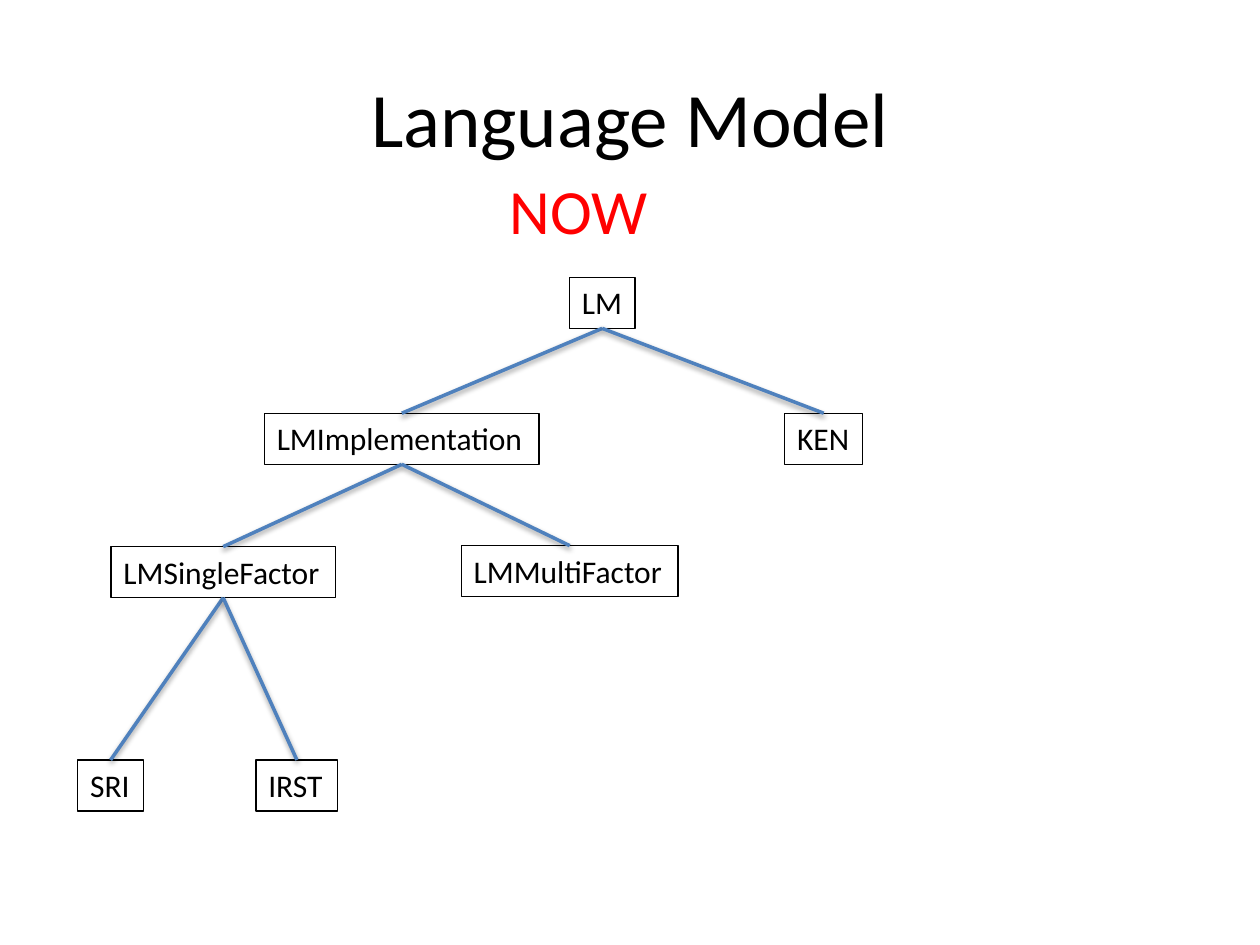
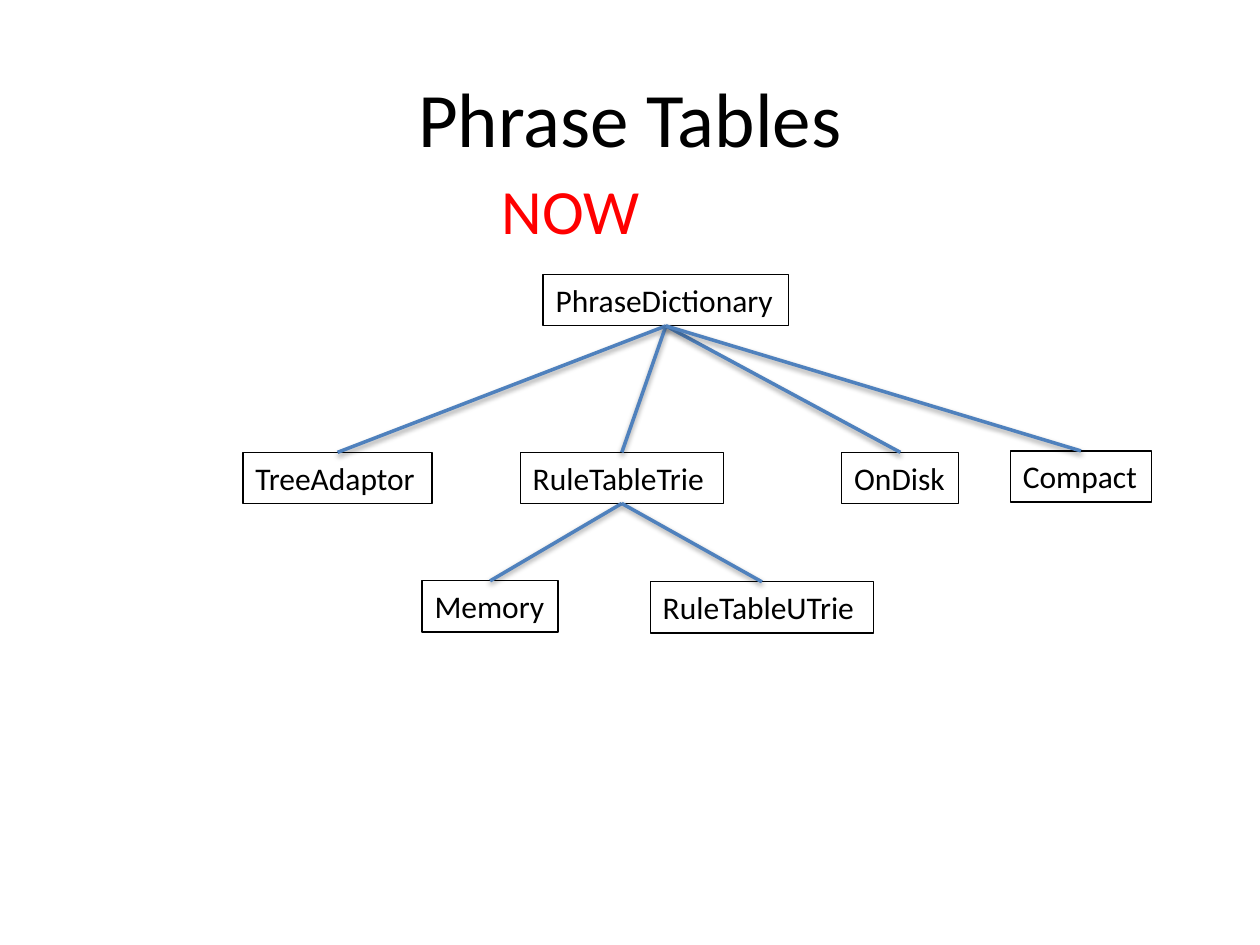
"""Build two class-hierarchy slides: language models and phrase tables."""
import pptx
import pptx.dml.color
import pptx.enum.shapes
import pptx.enum.text
import pptx.oxml
import pptx.oxml.ns
import pptx.util

Cm, Pt = pptx.util.Cm, pptx.util.Pt
RGB = pptx.dml.color.RGBColor.from_string
ALIGN = pptx.enum.text.PP_ALIGN

THEME = {
    "title": {"name": "Calibri", "size": Pt(44), "color": "000000"},
    "stage": {"name": "Calibri", "size": Pt(36), "color": "FF0000"},
    "node": {"name": "Calibri", "size": Pt(18), "color": "000000"},
    "border": {"color": "000000", "width": Pt(0.75)},
    "link": {"color": "4F81BD", "width": Pt(2)},
}
SHADOW = (
    f'<a:effectLst {pptx.oxml.ns.nsdecls("a")}>'
    '<a:outerShdw blurRad="40000" dist="20000" dir="5400000" rotWithShape="0">'
    '<a:srgbClr val="000000"><a:alpha val="38000"/></a:srgbClr>'
    '</a:outerShdw></a:effectLst>'
)
NODE_HEIGHT = Cm(1.03)

SLIDES = [
    {"title": "Language Model", "stage_left": 10.03, "nodes": [
        ("LM", None, 11.48, 5.59, 1.32),
        ("LMImplementation", "LM", 5.33, 8.33, 5.54),
        ("KEN", "LM", 15.82, 8.33, 1.57),
        ("LMSingleFactor", "LMImplementation", 2.24, 11.02, 4.52),
        ("LMMultiFactor", "LMImplementation", 9.3, 11, 4.37),
        ("SRI", "LMSingleFactor", 1.57, 15.32, 1.32),
        ("IRST", "LMSingleFactor", 5.16, 15.32, 1.65),
    ]},
    {"title": "Phrase Tables", "stage_left": 9.86, "nodes": [
        ("PhraseDictionary", None, 10.95, 5.54, 4.95),
        ("TreeAdaptor", "PhraseDictionary", 4.9, 9.12, 3.81),
        ("RuleTableTrie", "PhraseDictionary", 10.49, 9.12, 4.09),
        ("OnDisk", "PhraseDictionary", 16.97, 9.12, 2.36),
        ("Compact", "PhraseDictionary", 20.37, 9.09, 2.84),
        ("Memory", "RuleTableTrie", 8.51, 11.71, 2.74),
        ("RuleTableUTrie", "RuleTableTrie", 13.11, 11.73, 4.5),
    ]},
]


def apply_format(target, values):
    """Set attributes of a font or line from a dict of format values."""
    for key, value in values.items():
        if key == "color":
            fill = target if not hasattr(target, "fill") else target.fill
            fill.solid()
            fill.fore_color.rgb = RGB(value)
        else:
            setattr(target, key, value)


def add_label(slide, text, style, left, top, width, height):
    """Add a one-line text box in a theme style."""
    sp = slide.shapes.add_textbox(left, top, width, height)
    tf = sp.text_frame
    tf.word_wrap = False
    tf.auto_size = pptx.enum.text.MSO_AUTO_SIZE.SHAPE_TO_FIT_TEXT
    r = tf.paragraphs[0].add_run()
    r.text = text
    apply_format(r.font, THEME[style])
    return sp


prs = pptx.Presentation()
prs.slide_width, prs.slide_height = Cm(25.4), Cm(19.05)

for content in SLIDES:
    slide = prs.slides.add_slide(prs.slide_layouts[5])
    title = slide.shapes.title
    place = {"left": Cm(1.27), "top": Cm(0.76), "width": Cm(22.86), "height": Cm(3.18)}
    for key, value in place.items():
        setattr(title, key, value)
    title.text_frame.vertical_anchor = pptx.enum.text.MSO_ANCHOR.MIDDLE
    p = title.text_frame.paragraphs[0]
    p.alignment = ALIGN.CENTER
    r = p.add_run()
    r.text = content["title"]
    apply_format(r.font, THEME["title"])

    add_label(slide, "NOW", "stage", Cm(content["stage_left"]), Cm(3.33), Cm(3.33), Cm(1.8))

    boxes = {}
    for name, parent, left, top, width in content["nodes"]:
        sp = add_label(slide, name, "node", Cm(left), Cm(top), Cm(width), NODE_HEIGHT)
        apply_format(sp.line, THEME["border"])
        boxes[name] = sp
        if parent:
            link = slide.shapes.add_connector(
                pptx.enum.shapes.MSO_CONNECTOR.STRAIGHT, 0, 0, 0, 0)
            link.begin_connect(boxes[parent], 2)
            link.end_connect(sp, 0)
            apply_format(link.line, THEME["link"])
            link._element.spPr.append(pptx.oxml.parse_xml(SHADOW))

prs.save("out.pptx")
